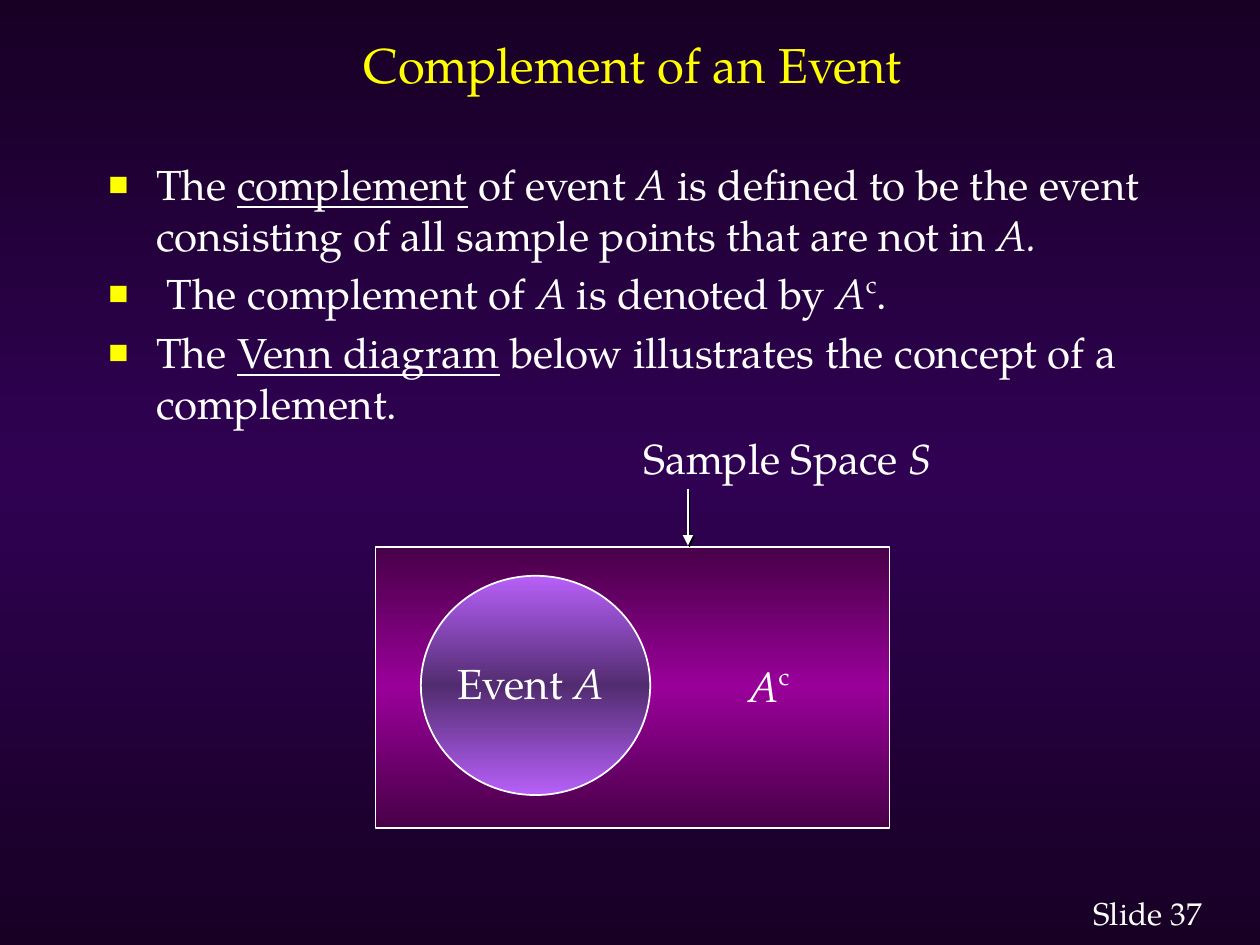
from copy import deepcopy
from lxml.etree import SubElement
from pptx import Presentation
from pptx.dml.color import RGBColor
from pptx.enum.shapes import MSO_CONNECTOR, MSO_SHAPE
from pptx.enum.text import MSO_ANCHOR, MSO_AUTO_SIZE, PP_ALIGN
from pptx.oxml.ns import qn
from pptx.util import Inches, Pt

FONT = "TeX Gyre Pagella"
WHITE, YELLOW, BLACK = "FFFFFF", "FFFF00", "000000"
WIDTH, HEIGHT = 10, 7.5

TITLE = "Complement of an Event"
BULLETS = [
    [("The ", ""), ("complement", "u"), (" of event ", ""), ("A ", "i"),
     ("is defined to be the event consisting of all sample points that are not in ", ""),
     ("A.", "i")],
    [(" The complement of ", ""), ("A", "i"), (" is denoted by ", ""),
     ("A", "i"), ("c", "sup"), (".", "")],
    [("The ", ""), ("Venn diagram", "u"),
     (" below illustrates the concept of a complement.", "")],
]


def rgb(color):
    return RGBColor.from_string(color)


def place(sp, box):
    sp.left, sp.top, sp.width, sp.height = [Inches(v) for v in box]


def add_shadow(parent):
    effects = SubElement(parent, qn("a:effectLst"))
    shadow = SubElement(effects, qn("a:outerShdw"), dist="17780", dir="2700000", algn="ctr")
    SubElement(shadow, qn("a:srgbClr"), val=BLACK)


def set_gradient(fill, element, edge, middle):
    fill.gradient()
    fill.gradient_angle = 90
    stops = element.find(".//" + qn("a:gsLst"))
    stops.append(deepcopy(stops[0]))
    for stop, color, position in zip(fill.gradient_stops, (edge, middle, edge), (0, 0.5, 1)):
        stop.color.rgb = rgb(color)
        stop.position = position


def add_runs(p, runs, size=24, color=WHITE, shadow=False):
    for text, style in runs:
        r = p.add_run()
        r.text = text
        r.font.name = FONT
        r.font.size = Pt(size)
        r.font.color.rgb = rgb(color)
        if style == "i":
            r.font.italic = True
        elif style == "u":
            r.font.underline = True
        elif style == "sup":
            r.font._element.set("baseline", "40000")
        if shadow:
            rpr = r.font._element
            add_shadow(rpr)
            rpr.insert(1, rpr[-1])


def add_bullet(p):
    ppr = p._p.get_or_add_pPr()
    ppr.set("marL", str(Inches(0.38)))
    ppr.set("indent", str(-Inches(0.38)))
    color = SubElement(ppr, qn("a:buClr"))
    SubElement(color, qn("a:srgbClr"), val=YELLOW)
    SubElement(ppr, qn("a:buSzPct"), val="80000")
    SubElement(ppr, qn("a:buChar"), char="■")


def fill_title(sp):
    place(sp, (0.77, 0.18, 0.85 * WIDTH, 0.66))
    tf = sp.text_frame
    tf.auto_size = MSO_AUTO_SIZE.NONE
    tf.vertical_anchor = MSO_ANCHOR.MIDDLE
    p = tf.paragraphs[0]
    p.alignment = PP_ALIGN.CENTER
    add_runs(p, [(TITLE, "")], 28, YELLOW)


def fill_body(sp):
    place(sp, (0.76, 1.21, 0.85 * WIDTH, 4.79))
    tf = sp.text_frame
    tf.auto_size = MSO_AUTO_SIZE.NONE
    for i, runs in enumerate(BULLETS):
        p = tf.add_paragraph() if i else tf.paragraphs[0]
        add_bullet(p)
        add_runs(p, runs)


def add_label(s, box, runs, size=24, shadow=False):
    sp = s.shapes.add_textbox(*[Inches(v) for v in box])
    tf = sp.text_frame
    tf.word_wrap = False
    add_runs(tf.paragraphs[0], runs, size, shadow=shadow)


def add_region(s, kind, box, edge, middle):
    sp = s.shapes.add_shape(kind, *[Inches(v) for v in box])
    sp.shadow.inherit = False
    set_gradient(sp.fill, sp.element, edge, middle)
    sp.line.color.rgb = rgb(WHITE)
    sp.line.width = Pt(1)


def add_arrow(s, x, top, bottom):
    cx = s.shapes.add_connector(
        MSO_CONNECTOR.STRAIGHT, Inches(x), Inches(top), Inches(x), Inches(bottom))
    cx.line.color.rgb = rgb(WHITE)
    cx.line.width = Pt(1)
    SubElement(cx.line._get_or_add_ln(), qn("a:tailEnd"), type="triangle")
    add_shadow(cx.element.spPr)


def main():
    prs = Presentation()
    prs.slide_width, prs.slide_height = Inches(WIDTH), Inches(HEIGHT)
    s = prs.slides.add_slide(prs.slide_layouts[1])
    set_gradient(s.background.fill, s.element, "170024", "300153")

    fill_title(s.shapes.title)
    fill_body(s.placeholders[1])
    add_region(s, MSO_SHAPE.RECTANGLE, (2.98, 4.34, 4.08, 2.23), "480048", "990099")
    add_region(s, MSO_SHAPE.OVAL, (3.34, 4.57, 1.82, 1.74), "B760F9", "522C70")
    add_label(s, (3.53, 5.17, 1.39, 0.5), [("Event ", ""), ("A", "i")])
    add_label(s, (5.84, 5.19, 0.56, 0.5), [("A", "i"), ("c", "sup")])
    add_label(s, (5.01, 3.38, 2.49, 0.5), [("Sample Space ", ""), ("S", "i")], shadow=True)
    add_arrow(s, 5.46, 3.88, 4.33)
    add_label(s, (8.58, 7.05, 1.08, 0.4), [("Slide 37", "")], 18, shadow=True)
    prs.save("out.pptx")


if __name__ == "__main__":
    main()
